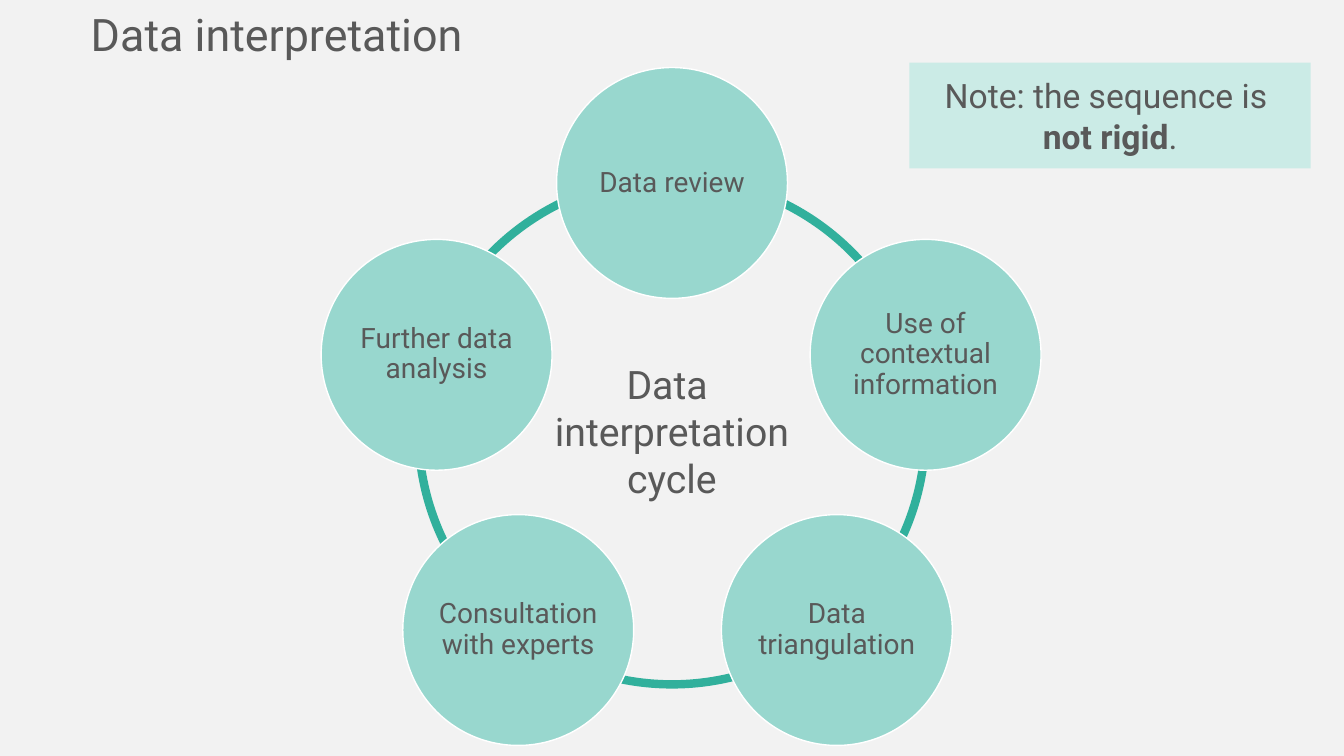
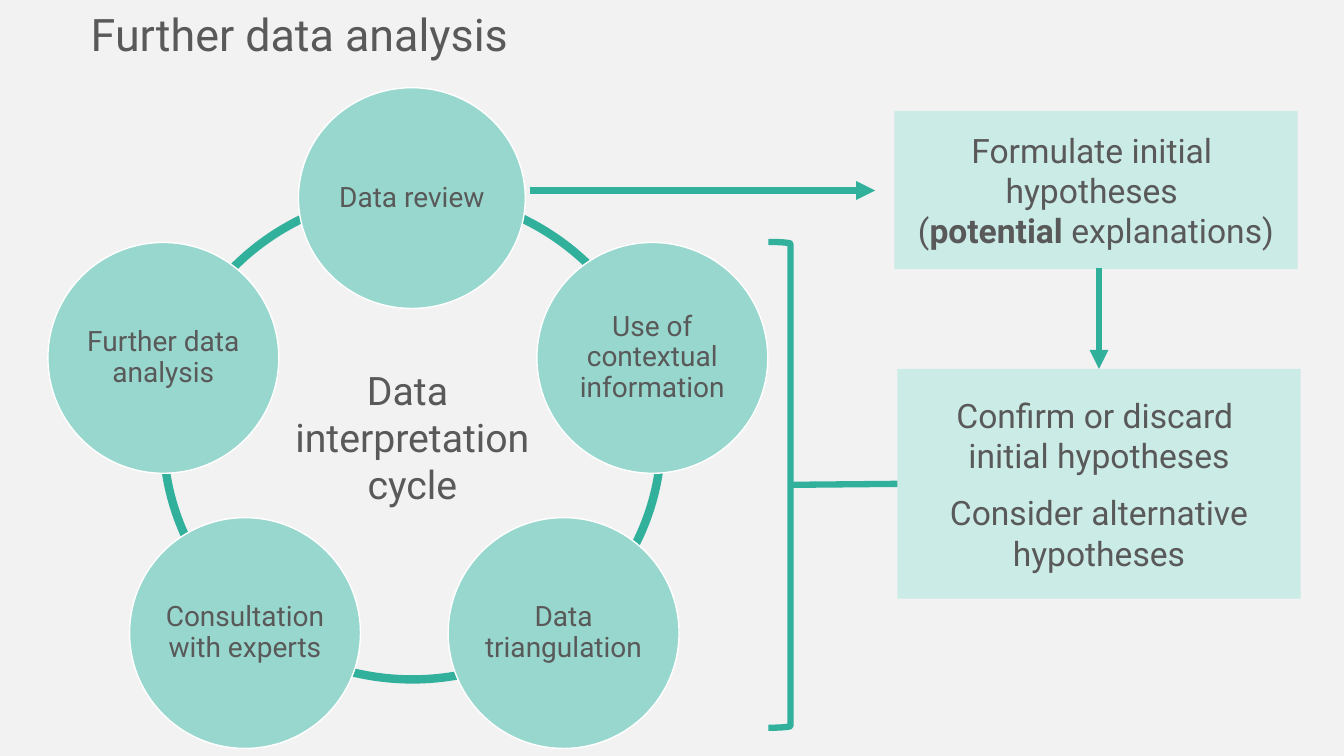
from pptx import Presentation
from pptx.dml.color import RGBColor
from pptx.enum.shapes import MSO_CONNECTOR, MSO_SHAPE
from pptx.enum.text import MSO_ANCHOR, MSO_AUTO_SIZE, PP_ALIGN
from pptx.oxml.ns import qn
from pptx.util import Inches, Pt
from lxml import etree

OVAL, RECT, BRACKET = MSO_SHAPE.OVAL, MSO_SHAPE.RECTANGLE, MSO_SHAPE.RIGHT_BRACKET
STRAIGHT = MSO_CONNECTOR.STRAIGHT
TOP, MIDDLE = MSO_ANCHOR.TOP, MSO_ANCHOR.MIDDLE
LEFT, CENTER = PP_ALIGN.LEFT, PP_ALIGN.CENTER
FIXED = MSO_AUTO_SIZE.NONE

FONT = "Roboto"
INK, TEAL, MINT, PALE, PAPER, WHITE = "595959", "31B09C", "98D7CE", "CBEBE6", "F2F2F2", "FFFFFF"
SIZE = 2.29

HUB = ["Data ", "interpretation", "cycle"]
FIRST = "Data review"
STEPS = [
    ("Use of contextual information", 2.51, -0.75),
    ("Data triangulation", 1.63, 1.98),
    ("Consultation with experts", -1.53, 1.98),
    ("Further data analysis", -2.34, -0.75),
]

SLIDES = [
    {
        "title": "Data interpretation",
        "mid": (6.67, 4.27),
        "ring": (4.15, 1.76, 5.03, 5.03),
        "first": (5.52, 0.67, SIZE, SIZE),
        "notes": [
            ((9.02, 0.62, 3.98, 1.05),
             ["Note: the sequence is ", [("not rigid", True), (".", False)]], 0),
        ],
    },
    {
        "title": "Further data analysis",
        "mid": (3.96, 4.3),
        "ring": (1.62, 1.92, 4.94, 4.82),
        "first": (2.96, 0.87, 2.25, 2.19),
        "notes": [
            ((8.87, 1.1, 4, 1.57),
             ["Formulate initial ",
              [("hypotheses \v(", False), ("potential ", True), ("explanations)", False)]], 0),
            ((8.9, 3.66, 4, 2.28),
             ["Confirm or discard ", "initial hypotheses", "Consider alternative hypotheses"], 12),
        ],
        "bracket": (7.62, 2.4, 0.22, 4.82),
        "links": [
            ((5.26, 1.89, 8.68, 1.89), True),
            ((10.9, 2.66, 10.9, 3.66), True),
            ((8.9, 4.8, 7.84, 4.81), False),
        ],
    },
]


def color(code):
    return RGBColor.from_string(code)


def inches(nums):
    return [Inches(n) for n in nums]


def write(shape, paras, size=24, align=CENTER, anchor=MIDDLE, lead=None, gap=0, pad=None):
    frame = shape.text_frame
    frame.word_wrap = True
    frame.auto_size = FIXED
    frame.vertical_anchor = anchor
    if pad is not None:
        frame.margin_left = frame.margin_right = Inches(pad)
        frame.margin_top = frame.margin_bottom = Inches(pad)
    for i, parts in enumerate(paras):
        para = frame.paragraphs[0] if i == 0 else frame.add_paragraph()
        para.alignment = align
        if lead:
            para.line_spacing = lead
        if gap and i == len(paras) - 2:
            para.space_after = Pt(gap)
        for text, bold in [(parts, False)] if isinstance(parts, str) else parts:
            for j, piece in enumerate(text.split("\v")):
                if j:
                    para.add_line_break()
                run = para.add_run()
                run.text = piece
                font = run.font
                font.name, font.size, font.bold = FONT, Pt(size), bold
                font.color.rgb = color(INK)


def draw(slide, kind, box, fill=None, line=None, width=1):
    shape = slide.shapes.add_shape(kind, *inches(box))
    shape.shadow.inherit = False
    if fill:
        shape.fill.solid()
        shape.fill.fore_color.rgb = color(fill)
    else:
        shape.fill.background()
    if line:
        shape.line.color.rgb = color(line)
        shape.line.width = Pt(width)
    else:
        shape.line.fill.background()
    return shape


def link(slide, ends, head):
    wire = slide.shapes.add_connector(STRAIGHT, *inches(ends))
    wire.line.color.rgb = color(TEAL)
    wire.line.width = Pt(4.5)
    if head:
        etree.SubElement(wire.line._get_or_add_ln(), qn("a:tailEnd"), type="triangle")
    etree.SubElement(wire._element.spPr, qn("a:effectLst"))


def cycle(slide, data):
    ring = draw(slide, OVAL, data["ring"], line=TEAL, width=6)
    write(ring, HUB, size=28, pad=0.03)
    x, y = data["mid"]
    half = SIZE / 2
    discs = [(FIRST, data["first"])]
    discs += [(text, (x + dx - half, y + dy - half, SIZE, SIZE)) for text, dx, dy in STEPS]
    for text, box in discs:
        disc = draw(slide, OVAL, box, fill=MINT, line=WHITE)
        write(disc, [text], size=20, lead=0.9, pad=0)


def build(deck, data):
    slide = deck.slides.add_slide(deck.slide_layouts[5])
    title = slide.shapes.title
    title.left, title.top, title.width, title.height = inches((0.8, 0.02, 10.96, 0.64))
    write(title, [data["title"]], size=32, align=LEFT, anchor=TOP)
    cycle(slide, data)
    for box, paras, gap in data["notes"]:
        write(draw(slide, RECT, box, fill=PALE), paras, gap=gap)
    if "bracket" in data:
        draw(slide, BRACKET, data["bracket"], line=TEAL, width=4.5)
    for ends, head in data.get("links", []):
        link(slide, ends, head)


def main():
    """Build the data interpretation slides."""
    deck = Presentation()
    deck.slide_width, deck.slide_height = inches((13.33, 7.5))
    back = deck.slide_master.background.fill
    back.solid()
    back.fore_color.rgb = color(PAPER)
    for data in SLIDES:
        build(deck, data)
    deck.save("out.pptx")


if __name__ == "__main__":
    main()
